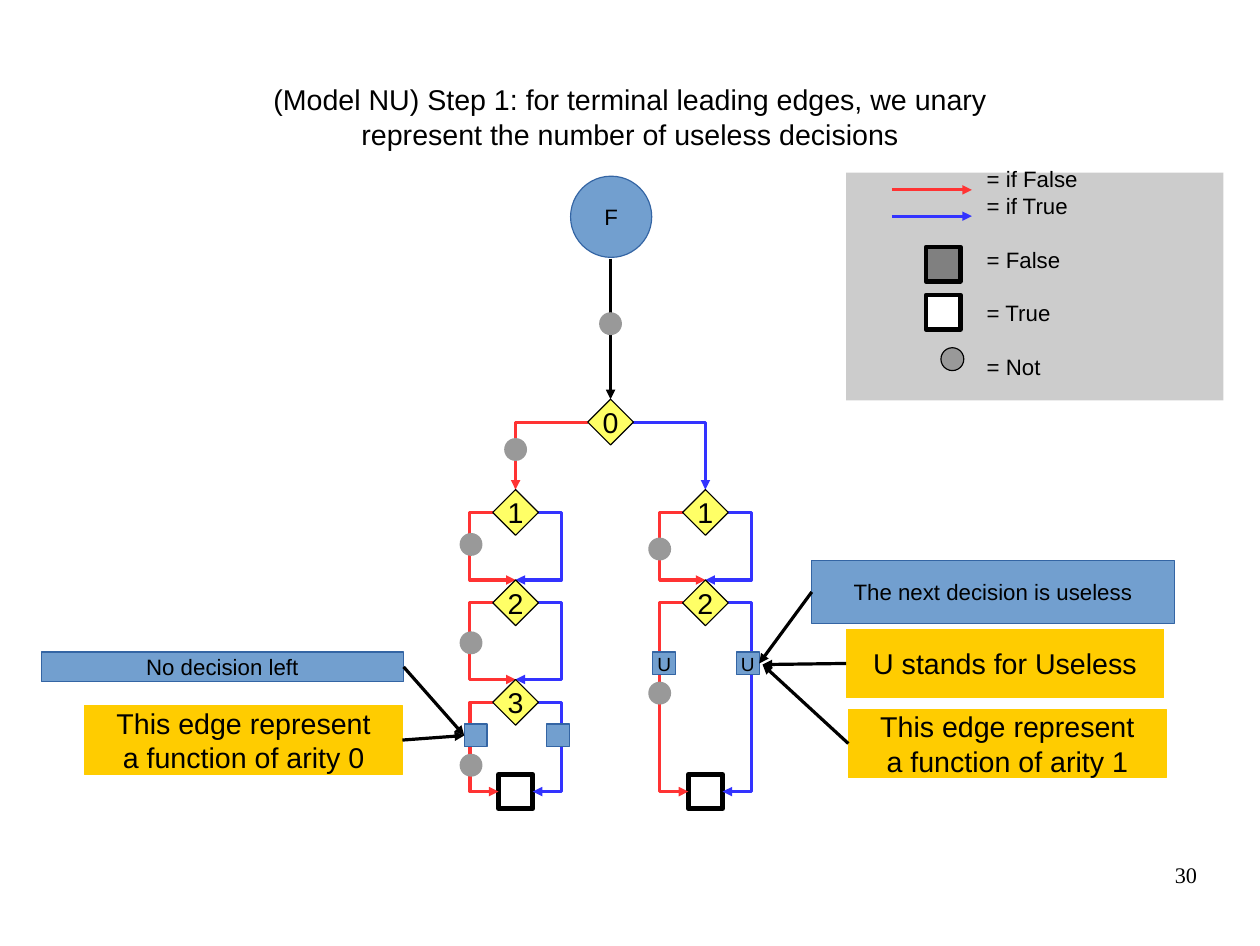
from dataclasses import dataclass

from lxml import etree
from pptx import Presentation
from pptx.dml.color import RGBColor
from pptx.enum.shapes import MSO_CONNECTOR, MSO_SHAPE
from pptx.enum.text import MSO_ANCHOR, PP_ALIGN
from pptx.oxml.ns import qn
from pptx.util import Inches, Pt

RECTANGLE, OVAL, DIAMOND = MSO_SHAPE.RECTANGLE, MSO_SHAPE.OVAL, MSO_SHAPE.DIAMOND
STRAIGHT, ELBOW = MSO_CONNECTOR.STRAIGHT, MSO_CONNECTOR.ELBOW
CENTER, LEFT, RIGHT = PP_ALIGN.CENTER, PP_ALIGN.LEFT, PP_ALIGN.RIGHT
MIDDLE = MSO_ANCHOR.MIDDLE
LEFT_SITE, RIGHT_SITE = 1, 3

BLACK, WHITE, GREY, DARK_GREY, LIGHT_GREY = "000000", "FFFFFF", "999999", "808080", "CCCCCC"
RED, BLUE = "FF3333", "3333FF"
STEEL, STEEL_LINE, YELLOW, GOLD = "729FCF", "3465A4", "FFFF66", "FFCC00"

# Decision diagram grid: column centres, row centres and half sizes
ROOT_X, LEFT_X, RIGHT_X = 5.34, 4.51, 6.17
ROW_Y = (3.69, 4.48, 5.27, 6.14)
TERMINAL_Y = 6.92
NODE_HALF, TERMINAL_HALF, LOOP_HALF = 0.2, 0.15, 0.4


@dataclass
class Box:
    left: float
    top: float
    width: float
    height: float
    fill: str
    line: str | None = None
    lines: tuple[str, ...] = ()
    size: int = 14
    kind: int = RECTANGLE
    line_width: float = 0


@dataclass
class Callout:
    box: Box
    box_site: int
    tip: tuple[float, float]
    target: str | None = None


def rgb(colour: str) -> RGBColor:
    return RGBColor.from_string(colour)


def format_font(font, size: int, name: str = "Arial") -> None:
    for attribute, value in {"name": name, "size": Pt(size)}.items():
        setattr(font, attribute, value)
    font.color.rgb = rgb(BLACK)


def write(frame, lines: tuple[str, ...], size: int, alignment=CENTER, name: str = "Arial") -> None:
    for index, text in enumerate(lines):
        paragraph = frame.add_paragraph() if index else frame.paragraphs[0]
        paragraph.text = text
        paragraph.alignment = alignment
        format_font(paragraph.font, size, name)


def draw_box(slide, box: Box):
    shape = slide.shapes.add_shape(
        box.kind, Inches(box.left), Inches(box.top), Inches(box.width), Inches(box.height))
    shape.shadow.inherit = False
    shape.fill.solid()
    shape.fill.fore_color.rgb = rgb(box.fill)
    if box.line:
        shape.line.color.rgb = rgb(box.line)
        shape.line.width = Pt(box.line_width)
    else:
        shape.line.fill.background()
    shape.text_frame.word_wrap = False
    shape.text_frame.vertical_anchor = MIDDLE
    write(shape.text_frame, box.lines, box.size)
    return shape


def draw_centred(slide, x: float, y: float, half: float, fill: str, line: str | None = None, **style):
    return draw_box(slide, Box(x - half, y - half, 2 * half, 2 * half, fill, line, **style))


def draw_arrow(slide, start: tuple[float, float], end: tuple[float, float], colour: str, kind=STRAIGHT):
    connector = slide.shapes.add_connector(kind, *(Inches(value) for value in start + end))
    connector.line.color.rgb = rgb(colour)
    connector.line.width = Pt(0)
    properties = connector._element.spPr
    etree.SubElement(properties.find(qn("a:ln")), qn("a:tailEnd"), type="triangle")
    etree.SubElement(properties, qn("a:effectLst"))
    return connector


def draw_elbow(slide, start: tuple[float, float], end: tuple[float, float], colour: str,
               via_x: float | None = None) -> None:
    """Bend once at the end column, or twice along via_x."""
    connector = draw_arrow(slide, start, end, colour, ELBOW)
    geometry = connector._element.spPr.find(qn("a:prstGeom"))
    if via_x is None:
        geometry.set("prst", "bentConnector2")
        return
    ratio = round((via_x - start[0]) / (end[0] - start[0]) * 100000)
    guides = geometry.find(qn("a:avLst"))
    if guides is None:
        guides = etree.SubElement(geometry, qn("a:avLst"))
    etree.SubElement(guides, qn("a:gd"), name="adj1", fmla=f"val {ratio}")


def draw_diagram(slide) -> dict:
    columns = {LEFT_X: ROW_Y[1:], RIGHT_X: ROW_Y[1:3]}
    # Terminals and edges
    for x in columns:
        draw_centred(slide, x, TERMINAL_Y, TERMINAL_HALF, WHITE, BLACK, line_width=3)
    draw_arrow(slide, (ROOT_X, 2.26), (ROOT_X, ROW_Y[0] - NODE_HALF), BLACK)
    for side, colour, branch_x in ((-1, RED, LEFT_X), (1, BLUE, RIGHT_X)):
        draw_elbow(slide, (ROOT_X + side * NODE_HALF, ROW_Y[0]),
                   (branch_x, ROW_Y[1] - NODE_HALF), colour)
        for x, rows in columns.items():
            ends = [(x, y - NODE_HALF) for y in rows[1:]]
            ends.append((x + side * TERMINAL_HALF, TERMINAL_Y))
            for y, end in zip(rows, ends):
                draw_elbow(slide, (x + side * NODE_HALF, y), end, colour, x + side * LOOP_HALF)
    # Function and decision nodes
    draw_box(slide, Box(4.99, 1.54, 0.71, 0.71, STEEL, STEEL_LINE, ("F",), kind=OVAL))
    for x, rows in {ROOT_X: ROW_Y[:1], **columns}.items():
        for y in rows:
            label = str(ROW_Y.index(y))
            draw_centred(slide, x, y, NODE_HALF, YELLOW, BLACK, lines=(label,), size=18, kind=DIAMOND)
    # Negations
    for x, y in ((ROOT_X, 2.83), (LEFT_X, 3.93), (4.12, 4.76), (4.12, 5.62), (4.12, 6.69),
                 (5.77, 4.8), (5.77, 6.06)):
        draw_centred(slide, x, y, 0.1, GREY, kind=OVAL)
    # Edge markers
    markers = {"left empty": (4.16, 6.43, ()), "right empty": (4.88, 6.43, ()),
               "left U": (5.81, 5.8, ("U",)), "right U": (6.54, 5.8, ("U",))}
    return {name: draw_centred(slide, x, y, 0.1, STEEL, STEEL_LINE, lines=lines, size=12)
            for name, (x, y, lines) in markers.items()}


def draw_callouts(slide, markers: dict) -> None:
    arity = "This edge represent"
    callouts = (
        Callout(Box(0.36, 5.7, 3.17, 0.26, STEEL, STEEL_LINE, ("No decision left",)),
                RIGHT_SITE, (4.06, 6.43), "left empty"),
        Callout(Box(0.74, 6.17, 2.78, 0.6, GOLD, GOLD, (arity, "a function of arity 0"), 18),
                RIGHT_SITE, (4.06, 6.43), "left empty"),
        Callout(Box(7.1, 4.9, 3.17, 0.55, STEEL, STEEL_LINE, ("The next decision is useless",)),
                LEFT_SITE, (6.64, 5.8), "right U"),
        Callout(Box(7.4, 5.5, 2.78, 0.6, GOLD, GOLD, ("U stands for Useless",), 18),
                LEFT_SITE, (6.67, 5.81)),
        Callout(Box(7.42, 6.2, 2.78, 0.6, GOLD, GOLD, (arity, "a function of arity 1"), 18),
                LEFT_SITE, (6.67, 5.81)),
    )
    for callout in callouts:
        shape = draw_box(slide, callout.box)
        arrow = draw_arrow(slide, callout.tip, callout.tip, BLACK)
        arrow.begin_connect(shape, callout.box_site)
        if callout.target:
            arrow.end_connect(markers[callout.target], LEFT_SITE + RIGHT_SITE - callout.box_site)


def draw_legend(slide) -> None:
    labels = ("= if False", "= if True", "= False", "= True", "= Not")
    frame = draw_box(slide, Box(7.4, 1.51, 3.3, 1.99, LIGHT_GREY, lines=labels)).text_frame
    frame.word_wrap = True
    for side, margin in {"left": 1.23, "top": 0, "bottom": 0.24}.items():
        setattr(frame, f"margin_{side}", Inches(margin))
    for index, paragraph in enumerate(frame.paragraphs):
        paragraph.alignment = LEFT
        if index > 1:
            paragraph.space_before = Pt(17)
    for y, colour in ((1.66, RED), (1.89, BLUE)):
        draw_arrow(slide, (7.8, y), (8.5, y), colour)
    for y, fill in ((2.31, DARK_GREY), (2.73, WHITE)):
        draw_centred(slide, 8.25, y, TERMINAL_HALF, fill, BLACK, line_width=3)
    draw_centred(slide, 8.33, 3.14, 0.1, GREY, BLACK, kind=OVAL)


def draw_title(slide) -> None:
    title = slide.shapes.title
    for attribute, value in {"left": 0.55, "top": 0.33, "width": 9.92, "height": 1.38}.items():
        setattr(title, attribute, Inches(value))
    frame = title.text_frame
    frame.vertical_anchor = MIDDLE
    for side in ("left", "top", "right", "bottom"):
        setattr(frame, f"margin_{side}", 0)
    paragraph = frame.paragraphs[0]
    paragraph.alignment = CENTER
    format_font(paragraph.font, 18)
    paragraph.add_run().text = "(Model NU) Step 1: for terminal leading edges, we unary"
    paragraph.add_line_break()
    paragraph.add_run().text = "represent the number of useless decisions"


def draw_page_number(slide) -> None:
    frame = slide.shapes.add_textbox(Inches(7.9), Inches(7.53), Inches(2.57), Inches(0.57)).text_frame
    frame.word_wrap = True
    frame.margin_left = frame.margin_top = frame.margin_right = frame.margin_bottom = 0
    write(frame, ("30",), 14, RIGHT, "Times New Roman")


def main() -> None:
    presentation = Presentation()
    presentation.slide_width, presentation.slide_height = Inches(11.02), Inches(8.27)
    slide = presentation.slides.add_slide(presentation.slide_layouts[5])
    draw_title(slide)
    draw_callouts(slide, draw_diagram(slide))
    draw_legend(slide)
    draw_page_number(slide)
    presentation.save("out.pptx")


if __name__ == "__main__":
    main()
